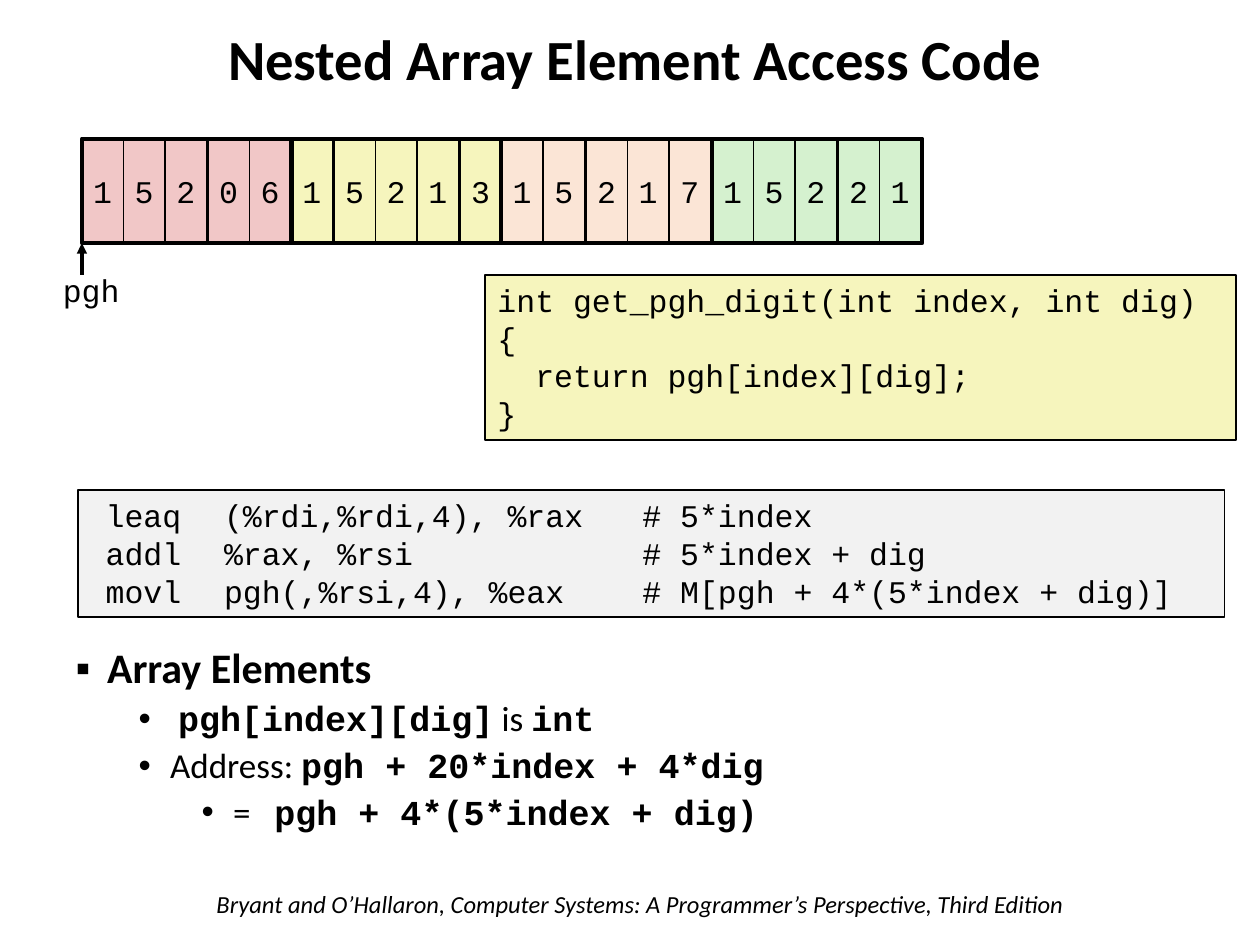
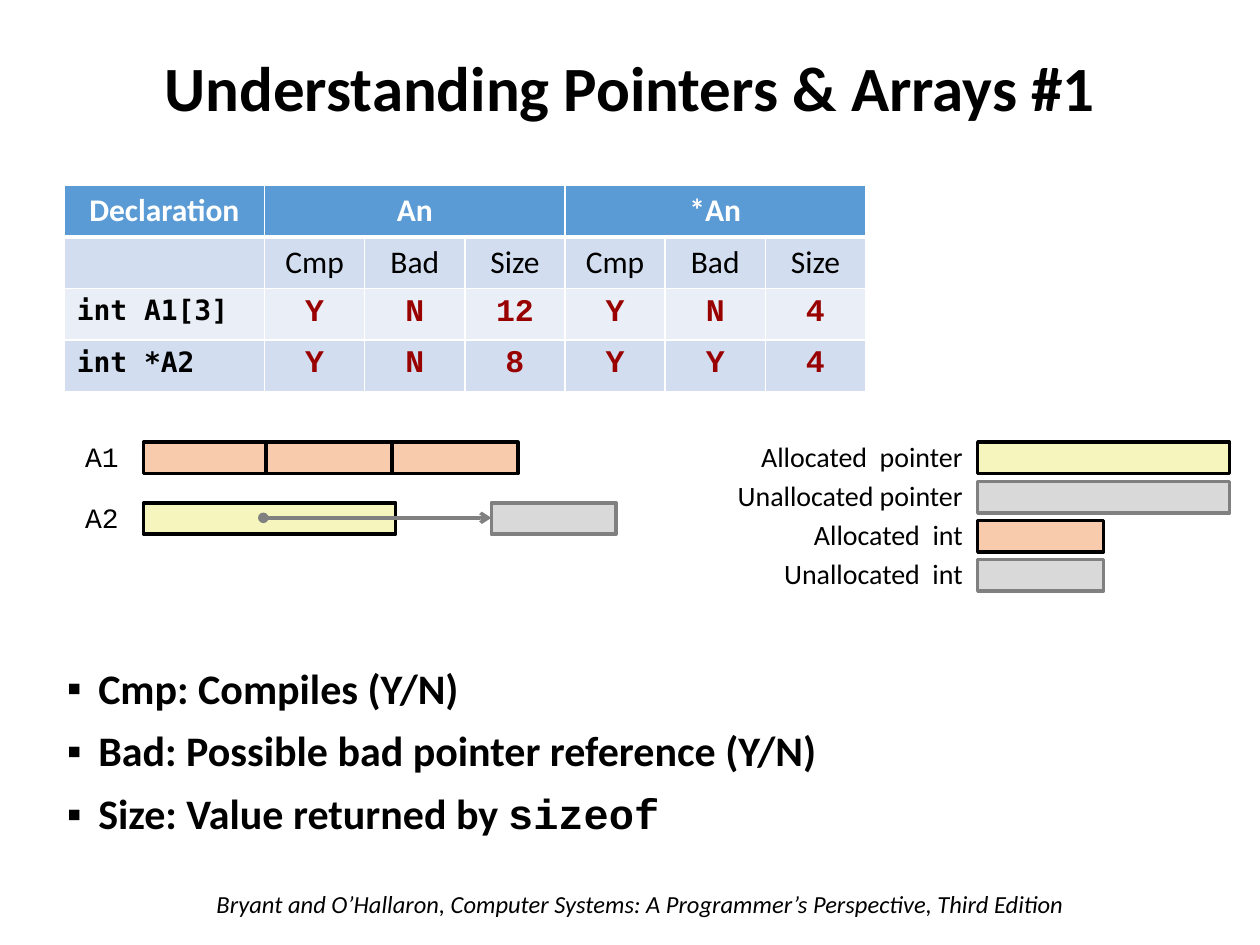
from lxml.etree import SubElement
from pptx import Presentation
from pptx.dml.color import RGBColor
from pptx.enum.shapes import MSO_CONNECTOR, MSO_SHAPE
from pptx.enum.text import MSO_ANCHOR, MSO_AUTO_SIZE, PP_ALIGN
from pptx.oxml.ns import qn
from pptx.util import Pt

EMU_PER_PX = 9144
SANS, CODE, MONO = "Calibri", "Courier New", "DejaVu Sans Mono"
COLORS = {
    "black": "000000", "white": "FFFFFF", "gray": "808080", "red": "990000",
    "pink": "F1C7C7", "yellow": "F6F5BD", "peach": "FBE5D6", "green": "D5F1CF",
    "orange": "F8CBAD", "unallocated": "D9D9D9", "assembly": "F2F2F2",
    "header": "5B9BD5", "band": "D2DEEF", "light_band": "EAEFF7",
}
FOOTER = "Bryant and O’Hallaron, Computer Systems: A Programmer’s Perspective, Third Edition"


def px(length):
    return round(length * EMU_PER_PX)


def rgb(name):
    return RGBColor.from_string(COLORS[name])


def place(shape, box):
    shape.left, shape.top, shape.width, shape.height = map(px, box)


def add_text(paragraph, text, size=18, font=SANS, color="black", bold=False, italic=False):
    run = paragraph.add_run()
    run.text = text
    run.font.size = Pt(size)
    run.font.name = font
    run.font.bold = bold
    run.font.italic = italic
    run.font.color.rgb = rgb(color)


def write_lines(frame, lines, align=PP_ALIGN.LEFT, **text_format):
    for index, line in enumerate(lines):
        paragraph = frame.paragraphs[0] if index == 0 else frame.add_paragraph()
        paragraph.alignment = align
        add_text(paragraph, line, **text_format)


def add_label(slide, box, text, wrap=True, **text_format):
    label = slide.shapes.add_textbox(*map(px, box))
    label.text_frame.word_wrap = wrap
    write_lines(label.text_frame, [text], **text_format)
    return label


def add_box(slide, box, fill=None, line="black", weight=1):
    shape = slide.shapes.add_shape(MSO_SHAPE.RECTANGLE, *map(px, box))
    shape.shadow.inherit = False
    if fill:
        shape.fill.solid()
        shape.fill.fore_color.rgb = rgb(fill)
    else:
        shape.fill.background()
    shape.line.color.rgb = rgb(line)
    shape.line.width = Pt(weight)
    return shape


def add_arrow(slide, start, end, color, **ends):
    arrow = slide.shapes.add_connector(MSO_CONNECTOR.STRAIGHT, *map(px, start + end))
    arrow.line.color.rgb = rgb(color)
    arrow.line.width = Pt(2)
    properties = arrow.element.spPr
    for tag, kind in ends.items():
        SubElement(properties.find(qn("a:ln")), qn(f"a:{tag}"), type=kind)
    SubElement(properties, qn("a:effectLst"))


def add_title(slide, box, text, size):
    title = slide.shapes.title
    place(title, box)
    title.text_frame.auto_size = MSO_AUTO_SIZE.NONE
    title.text_frame.vertical_anchor = MSO_ANCHOR.MIDDLE
    write_lines(title.text_frame, [text], PP_ALIGN.CENTER, size=size, bold=True)
    title.text_frame.paragraphs[0].line_spacing = 0.9


def add_bullets(slide, box, items):
    body = slide.placeholders[1]
    place(body, box)
    frame = body.text_frame
    frame.auto_size = MSO_AUTO_SIZE.NONE
    for index, (level, runs) in enumerate(items):
        paragraph = frame.paragraphs[0] if index == 0 else frame.add_paragraph()
        paragraph.level = level
        paragraph.line_spacing = 0.9
        paragraph.space_before = Pt(5 if level else 10)
        properties = paragraph._p.get_or_add_pPr()
        properties.set("marL", str(px(25 + 50 * level)))
        properties.set("indent", str(px(-25)))
        SubElement(properties, qn("a:buChar"), char="•" if level else "▪")
        for text, font, bold in runs:
            add_text(paragraph, text, size=20 if level else 24, font=font, bold=bold)


def add_footer(slide):
    footer = add_label(slide, (162, 701, 710, 34), FOOTER, size=14, italic=True)
    slide.slide_layout.shapes.element.append(footer.element)


def add_nested_array(slide, left, top):
    rows = [("15206", "pink"), ("15213", "yellow"), ("15217", "peach"), ("15221", "green")]
    height, row_width = 83, 167
    add_arrow(slide, (left, top + height + 25), (left, top + height), "black", tailEnd="triangle")
    add_label(slide, (left - 25, top + 100, 66, 40), "pgh", wrap=False, font=CODE)
    row_lefts = [left + 500 * row // 3 for row in range(len(rows))]
    for row, (digits, fill) in enumerate(rows):
        for column, digit in enumerate(digits):
            cell_left = left + 100 * (5 * row + column) // 3
            cell = add_box(slide, (cell_left, top, 33, height), fill)
            frame = cell.text_frame
            frame.word_wrap = False
            frame.vertical_anchor = MSO_ANCHOR.MIDDLE
            write_lines(frame, [digit], PP_ALIGN.CENTER, font=CODE)
    for row_left in row_lefts:
        add_box(slide, (row_left, top, row_width, height), weight=2.25)


def add_code(slide, box, fill, lines, tabs=()):
    frame = add_box(slide, box, fill).text_frame
    frame.word_wrap = True
    frame.vertical_anchor = MSO_ANCHOR.TOP
    write_lines(frame, lines, font=CODE)
    if tabs:
        for paragraph in frame.paragraphs:
            tab_list = SubElement(paragraph._p.get_or_add_pPr(), qn("a:tabLst"))
            for position in tabs:
                SubElement(tab_list, qn("a:tab"), pos=str(px(position)), algn="l")


def format_cell(cell, fill, bottom_weight):
    properties = cell._tc.get_or_add_tcPr()
    for side, weight in (("L", 1), ("R", 1), ("T", 1), ("B", bottom_weight)):
        border = SubElement(properties, qn(f"a:ln{side}"), w=str(Pt(weight)))
        SubElement(SubElement(border, qn("a:solidFill")), qn("a:srgbClr"), val=COLORS["white"])
    cell.fill.solid()
    cell.fill.fore_color.rgb = rgb(fill)


def add_declaration_table(slide, left, top):
    rows = [
        ["Declaration", "An", "", "", "*An", "", ""],
        [""] + ["Cmp", "Bad", "Size"] * 2,
        ["int A1[3]", "Y", "N", "12", "Y", "N", "4"],
        ["int *A2", "Y", "N", "8", "Y", "Y", "4"],
    ]
    fills = ["header", "band", "light_band", "band"]
    widths = [159] + [79.5] * 6
    row_height = 41
    box = (left, top, sum(widths), row_height * len(rows))
    table = slide.shapes.add_table(len(rows), len(widths), *map(px, box)).table
    for column, width in zip(table.columns, widths):
        column.width = px(width)
    for first in (1, 4):
        table.cell(0, first).merge(table.cell(0, first + 2))
    declaration = dict(size=16, font=MONO, bold=True)
    answer = dict(font=CODE, color="red", bold=True)
    for row, texts in enumerate(rows):
        table.rows[row].height = px(row_height)
        for column, text in enumerate(texts):
            cell = table.cell(row, column)
            format_cell(cell, fills[row], 3 if row == 0 else 1)
            if not text:
                continue
            if row == 0:
                text_format = dict(color="white", bold=True)
            elif row == 1:
                text_format = {}
            else:
                text_format = answer if column else declaration
            align = PP_ALIGN.LEFT if row > 1 and column == 0 else PP_ALIGN.CENTER
            write_lines(cell.text_frame, [text], align, **text_format)


def add_memory_diagram(slide, left, top):
    bar_left, second_top = left + 63, top + 48
    for name, bar_top in (("A1", top), ("A2", second_top)):
        add_label(slide, (left, bar_top - 7, 53, 37), name,
                  align=PP_ALIGN.RIGHT, size=16, font=CODE)
    for offset in (0, 97, 197):
        add_box(slide, (bar_left + offset, top, 100, 25), "orange", weight=2)
    add_box(slide, (bar_left, second_top, 200, 25), "yellow", weight=2)
    target_left = bar_left + 276
    add_box(slide, (target_left, second_top, 99, 25), "unallocated", "gray", 2)
    arrow_top = second_top + 12
    add_arrow(slide, (bar_left + 95, arrow_top), (target_left, arrow_top), "gray",
              headEnd="oval", tailEnd="arrow")


def add_legend(slide, left, top):
    entries = [
        ("Allocated  pointer", 200, "yellow", "black"),
        ("Unallocated pointer", 200, "unallocated", "gray"),
        ("Allocated  int", 100, "orange", "black"),
        ("Unallocated  int", 100, "unallocated", "gray"),
    ]
    for index, (text, width, fill, line) in enumerate(entries):
        bar_top = top + 31 * index
        add_label(slide, (left, bar_top - 7, 203, 37), text, align=PP_ALIGN.RIGHT, size=16)
        add_box(slide, (left + 205, bar_top, width, 25), fill, line, 2)


def build_access_code_slide(slide):
    add_title(slide, (51, 18, 906, 63), "Nested Array Element Access Code", 32.4)
    add_bullets(slide, (50, 509, 910, 191), [
        (0, [("Array Elements", SANS, True)]),
        (1, [(" ", SANS, True), ("pgh[index][dig]", CODE, True),
             (" is ", SANS, False), ("int", CODE, True)]),
        (1, [("Address: ", SANS, False), ("pgh + 20*index + 4*dig", CODE, True)]),
        (2, [("=   ", SANS, False), ("pgh + 4*(5*index + dig)", CODE, True)]),
    ])
    add_code(slide, (385, 218, 596, 131), "yellow", [
        "int get_pgh_digit(int index, int dig)",
        "{",
        "  return pgh[index][dig];",
        "}",
    ])
    add_code(slide, (62, 389, 910, 101), "assembly", [
        "\tleaq\t(%rdi,%rdi,4), %rax\t# 5*index",
        "\taddl\t%rax, %rsi\t# 5*index + dig",
        "\tmovl\tpgh(,%rsi,4), %eax\t# M[pgh + 4*(5*index + dig)]",
    ], tabs=(12, 106, 438))
    add_nested_array(slide, 65, 110)


def build_pointers_slide(slide):
    add_title(slide, (0, 0, 1000, 145), "Understanding Pointers & Arrays #1", 36)
    add_bullets(slide, (43, 525, 864, 168), [
        (0, [("Cmp: Compiles (Y/N)", SANS, True)]),
        (0, [("Bad: Possible bad pointer reference (Y/N)", SANS, True)]),
        (0, [("Size: Value returned by ", SANS, True), ("sizeof", CODE, True)]),
    ])
    add_declaration_table(slide, 51, 147)
    add_memory_diagram(slide, 51, 351)
    add_legend(slide, 571, 351)


def main():
    presentation = Presentation()
    presentation.slide_width, presentation.slide_height = px(1000), px(750)
    layout = presentation.slide_layouts[1]
    slides = [presentation.slides.add_slide(layout) for _ in range(2)]
    add_footer(slides[0])
    build_access_code_slide(slides[0])
    build_pointers_slide(slides[1])
    presentation.save("out.pptx")


if __name__ == "__main__":
    main()
